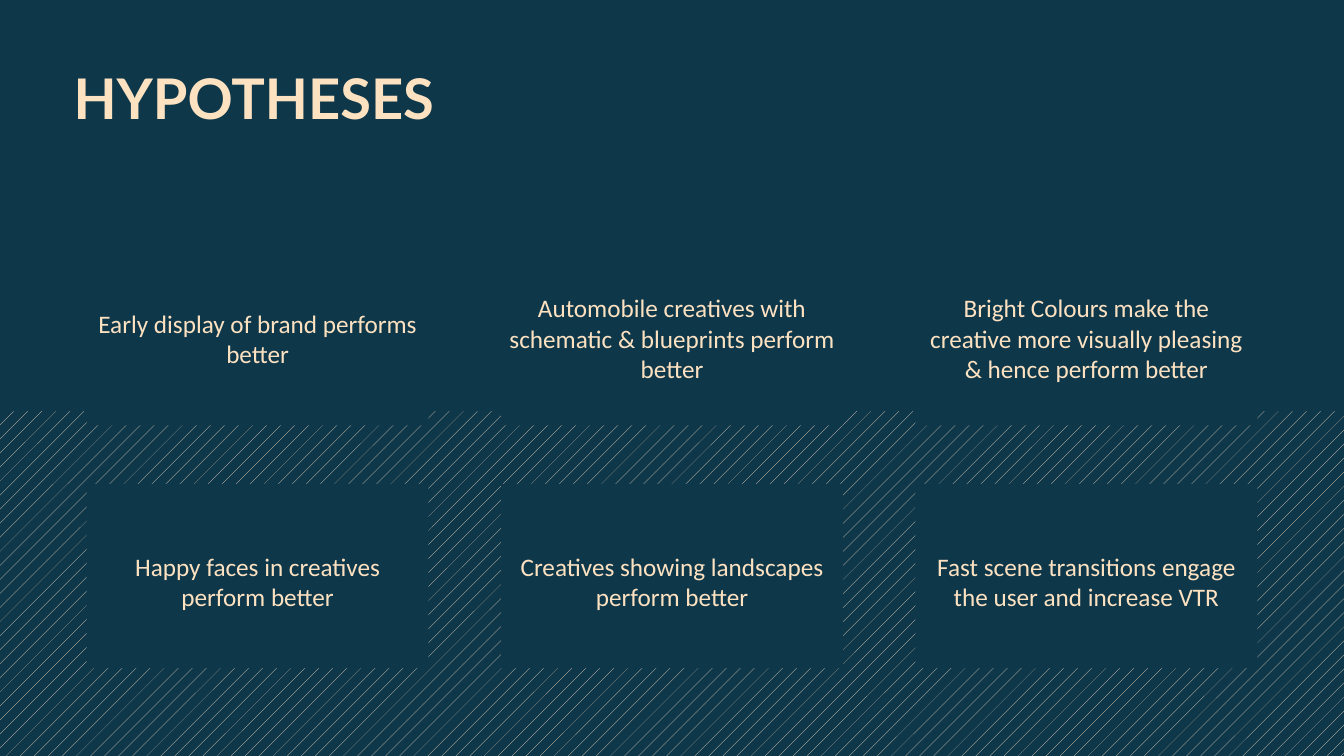
from pptx import Presentation
from pptx.dml.color import RGBColor
from pptx.enum.dml import MSO_PATTERN
from pptx.enum.shapes import MSO_SHAPE
from pptx.enum.text import MSO_ANCHOR, PP_ALIGN
from pptx.util import Inches, Pt

RECTANGLE = MSO_SHAPE.RECTANGLE
HATCH = MSO_PATTERN.PERCENT_5
MIDDLE, TOP = MSO_ANCHOR.MIDDLE, MSO_ANCHOR.TOP
CENTER, LEFT = PP_ALIGN.CENTER, PP_ALIGN.LEFT

NAVY, CREAM = "0F374A", "FDE2C1"
SLIDE_WIDTH, SLIDE_HEIGHT = 13.33, 7.5
BAND_TOP = 4.08
CARD_LEFT, CARD_TOP = 0.86, 2.39
CARD_WIDTH, CARD_HEIGHT = 3.39, 1.83
COLUMN_STEP, ROW_STEP = 4.11, 2.41

HYPOTHESES = [
    ["Early display of brand performs better",
     "Automobile creatives with schematic & blueprints perform better",
     "Bright Colours make the creative more visually pleasing & hence perform better"],
    ["Happy faces in creatives perform better",
     "Creatives showing landscapes perform better",
     "Fast scene transitions engage the user and increase VTR"],
]


def color(hex_string):
    return RGBColor.from_string(hex_string)


def write(shape, text, font_name, size, bold, alignment, anchor, insets):
    """Set one cream paragraph in a shape; insets are left, top, right, bottom."""
    frame = shape.text_frame
    frame.word_wrap = True
    frame.vertical_anchor = anchor
    (frame.margin_left, frame.margin_top,
     frame.margin_right, frame.margin_bottom) = [Inches(inset) for inset in insets]
    paragraph = frame.paragraphs[0]
    paragraph.alignment = alignment
    run = paragraph.add_run()
    run.text = text
    run.font.name = font_name
    run.font.size = Pt(size)
    run.font.bold = bold
    run.font.color.rgb = color(CREAM)
    return paragraph


presentation = Presentation()
presentation.slide_width = Inches(SLIDE_WIDTH)
presentation.slide_height = Inches(SLIDE_HEIGHT)
slide = presentation.slides.add_slide(presentation.slide_layouts[6])
slide.background.fill.solid()
slide.background.fill.fore_color.rgb = color(NAVY)

band = slide.shapes.add_shape(
    RECTANGLE, 0, Inches(BAND_TOP), Inches(SLIDE_WIDTH), Inches(SLIDE_HEIGHT - BAND_TOP))
band.shadow.inherit = False
band.fill.patterned()
band.fill.pattern = HATCH
band.fill.fore_color.rgb = color(CREAM)
band.fill.back_color.rgb = color(NAVY)
band.line.fill.background()

title = slide.shapes.add_textbox(Inches(0.73), Inches(0.73), Inches(11.87), Inches(1.18))
title_paragraph = write(title, "HYPOTHESES", "Lato", 40, True, LEFT, TOP, (0, 0, 0, 0))
title_paragraph.line_spacing = 0.85

for row, texts in enumerate(HYPOTHESES):
    for column, text in enumerate(texts):
        card = slide.shapes.add_shape(
            RECTANGLE,
            Inches(CARD_LEFT + column * COLUMN_STEP), Inches(CARD_TOP + row * ROW_STEP),
            Inches(CARD_WIDTH), Inches(CARD_HEIGHT))
        card.shadow.inherit = False
        card.fill.solid()
        card.fill.fore_color.rgb = color(NAVY)
        card.line.fill.background()
        write(card, text, "Calibri", 18, False, CENTER, MIDDLE, (0.08, 0.1, 0.08, 0))

presentation.save("out.pptx")
